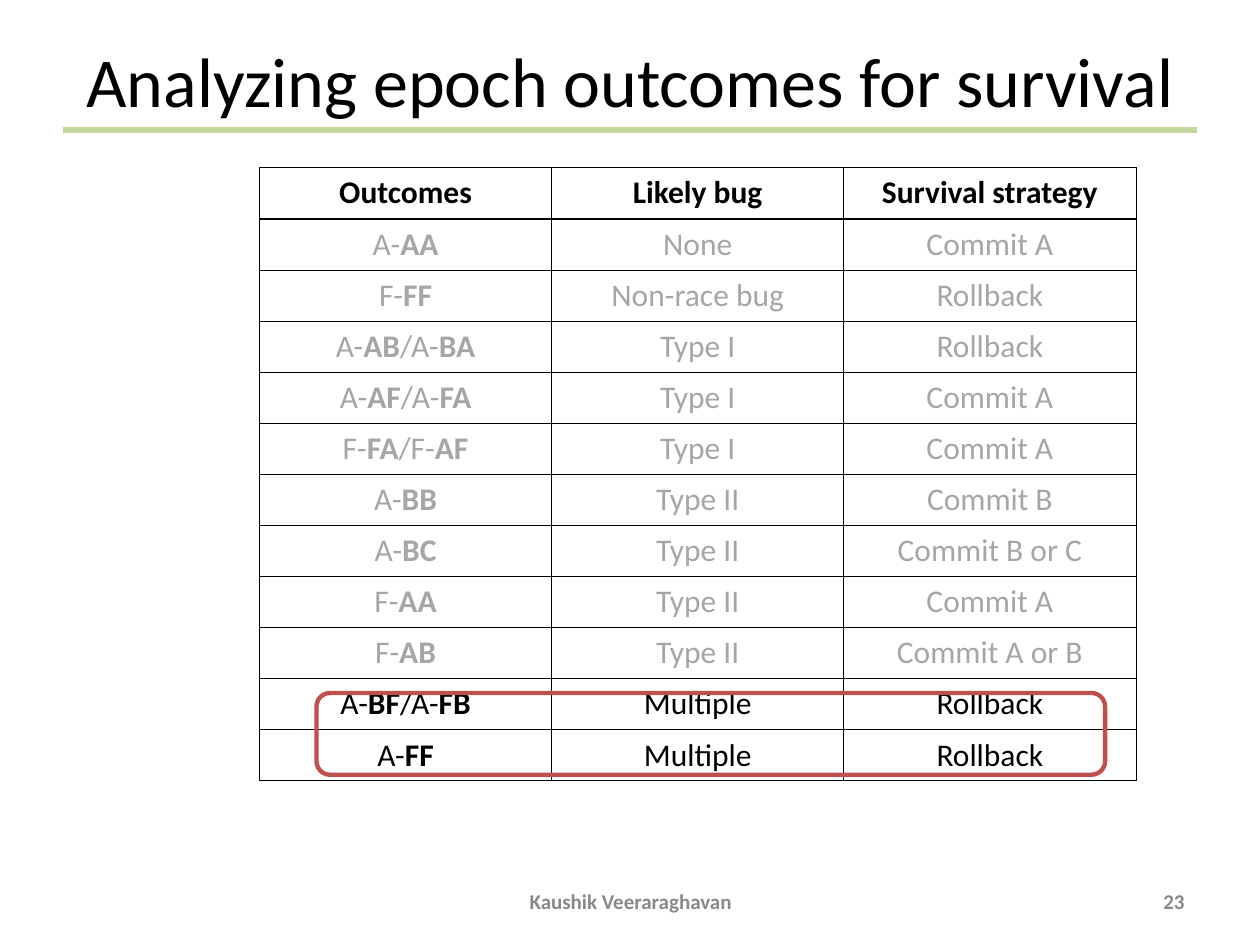
"""Build the slide on epoch outcomes and their survival strategies."""
from lxml.etree import SubElement
from pptx import Presentation
from pptx.dml.color import RGBColor
from pptx.enum.shapes import MSO_CONNECTOR, MSO_SHAPE
from pptx.enum.text import MSO_ANCHOR, PP_ALIGN
from pptx.oxml import parse_xml
from pptx.oxml.ns import nsdecls, qn
from pptx.util import Cm, Pt

BLACK = RGBColor(0x00, 0x00, 0x00)
FADED = RGBColor(0xA6, 0xA6, 0xA6)
FOOTER = RGBColor(0x89, 0x89, 0x89)
GREEN = RGBColor(0xC3, 0xD6, 0x9B)
RED = RGBColor(0xC0, 0x50, 0x4D)
THIN, THICK = Pt(0.45), Pt(1.47)

ROWS = [
    ("*Outcomes*", "*Likely bug*", "*Survival strategy*"),
    ("A-*AA*", "None", "Commit A"),
    ("F-*FF*", "Non-race bug", "Rollback"),
    ("A-*AB*/A-*BA*", "Type I", "Rollback"),
    ("A-*AF*/A-*FA*", "Type I", "Commit A"),
    ("F-*FA*/F-*AF*", "Type I", "Commit A"),
    ("A-*BB*", "Type II", "Commit B"),
    ("A-*BC*", "Type II", "Commit B or C"),
    ("F-*AA*", "Type II", "Commit A"),
    ("F-*AB*", "Type II", "Commit A or B"),
    ("A-*BF*/A-*FB*", "Multiple", "Rollback"),
    ("A-*FF*", "Multiple", "Rollback"),
]
HIGHLIGHTED = (0, 10, 11)


def write(frame, text, size=18, color=BLACK, align=PP_ALIGN.CENTER):
    """Write one paragraph in which asterisks enclose bold text."""
    para = frame.paragraphs[0]
    para.alignment = align
    for index, part in enumerate(text.split("*")):
        if part:
            span = para.add_run()
            span.text = part
            span.font.name = "Calibri"
            span.font.size = Pt(size)
            span.font.bold = index % 2 == 1
            span.font.color.rgb = color


def add_border(cell, side, width):
    """Draw a black line on one side of a table cell."""
    cell.get_or_add_tcPr() if hasattr(cell, "get_or_add_tcPr") else None
    cell._tc.get_or_add_tcPr().append(parse_xml(
        f'<a:ln{side} {nsdecls("a")} w="{width}"><a:solidFill>'
        f'<a:srgbClr val="{BLACK}"/></a:solidFill></a:ln{side}>'))


deck = Presentation()
deck.slide_width, deck.slide_height = Cm(25.4), Cm(19.05)
page = deck.slides.add_slide(deck.slide_layouts[5])

title = page.shapes.title
title.left, title.top, title.width, title.height = Cm(1.27), Cm(0.76), Cm(22.86), Cm(1.68)
frame = title.text_frame
frame.margin_left = frame.margin_right = frame.margin_top = frame.margin_bottom = 0
frame.vertical_anchor = MSO_ANCHOR.MIDDLE
write(frame, "Analyzing epoch outcomes for survival", size=40)

rule = page.shapes.add_connector(MSO_CONNECTOR.STRAIGHT, Cm(1.27), Cm(2.62), Cm(24.13), Cm(2.62))
rule.line.color.rgb = GREEN
rule.line.width = Pt(3.5)
SubElement(rule._element.spPr, qn("a:effectLst"))

table = page.shapes.add_table(
    len(ROWS), 3, Cm(5.23), Cm(3.38), Cm(17.67), Cm(12.36)).table
table.first_row = table.horz_banding = False
for row_index, texts in enumerate(ROWS):
    table.rows[row_index].height = Cm(1.03)
    color = BLACK if row_index in HIGHLIGHTED else FADED
    for column_index, text in enumerate(texts):
        cell = table.cell(row_index, column_index)
        write(cell.text_frame, text, color=color)
        add_border(cell, "L", THIN)
        add_border(cell, "R", THIN)
        add_border(cell, "T", THICK if row_index == 1 else THIN)
        add_border(cell, "B", THICK if row_index == 0 else THIN)
        cell.fill.background()

highlight = page.shapes.add_shape(
    MSO_SHAPE.ROUNDED_RECTANGLE, Cm(6.38), Cm(13.97), Cm(15.9), Cm(1.65))
highlight.shadow.inherit = False
highlight.fill.background()
highlight.line.color.rgb = RED
highlight.line.width = Pt(2.5)

for text, left, width, align in [
    ("*Kaushik Veeraraghavan*", 8.69, 8.05, PP_ALIGN.CENTER),
    ("*23*", 18.21, 5.92, PP_ALIGN.RIGHT),
]:
    box = page.shapes.add_textbox(Cm(left), Cm(17.65), Cm(width), Cm(1.02))
    box.text_frame.word_wrap = True
    box.text_frame.vertical_anchor = MSO_ANCHOR.MIDDLE
    write(box.text_frame, text, size=12, color=FOOTER, align=align)

deck.save("out.pptx")
